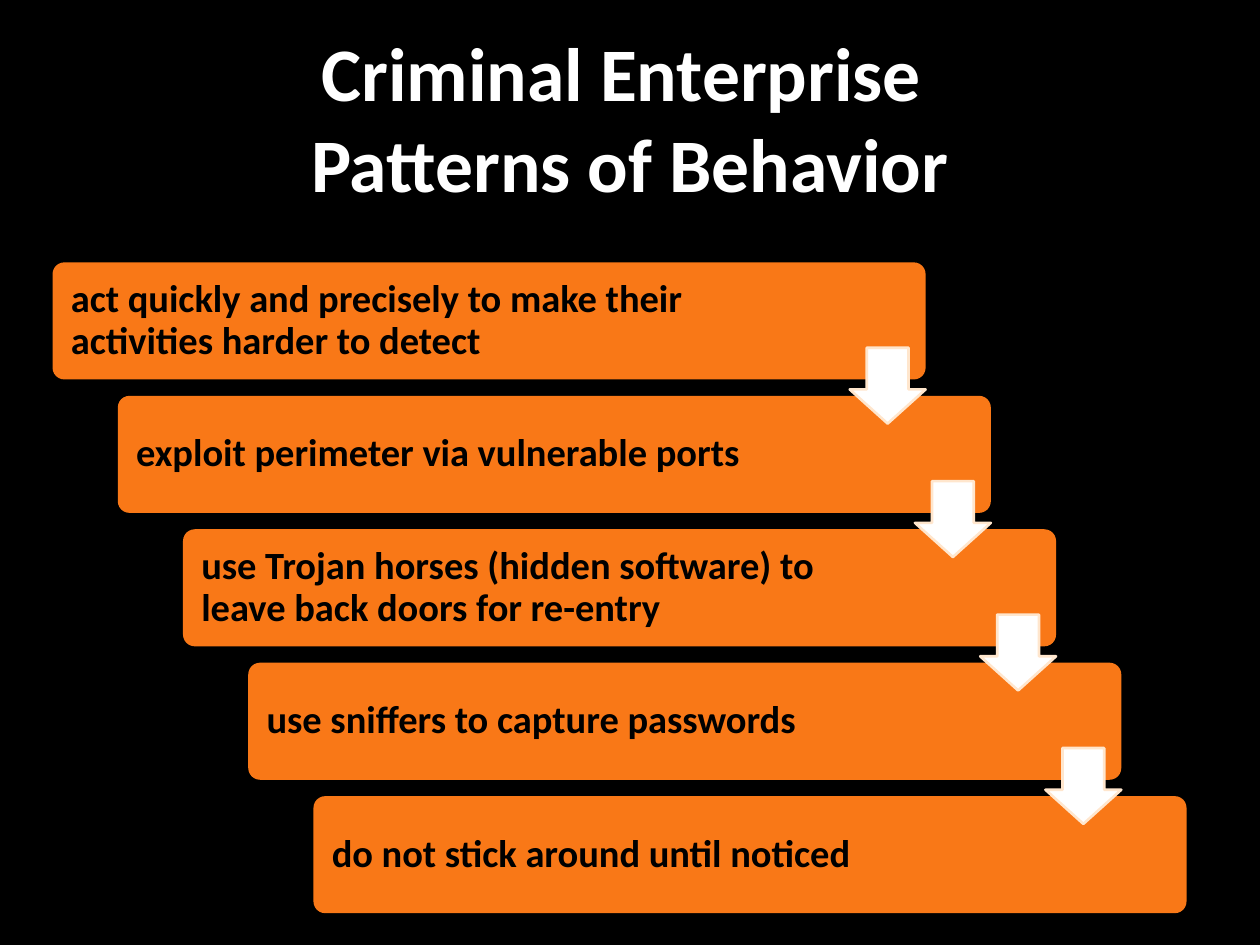
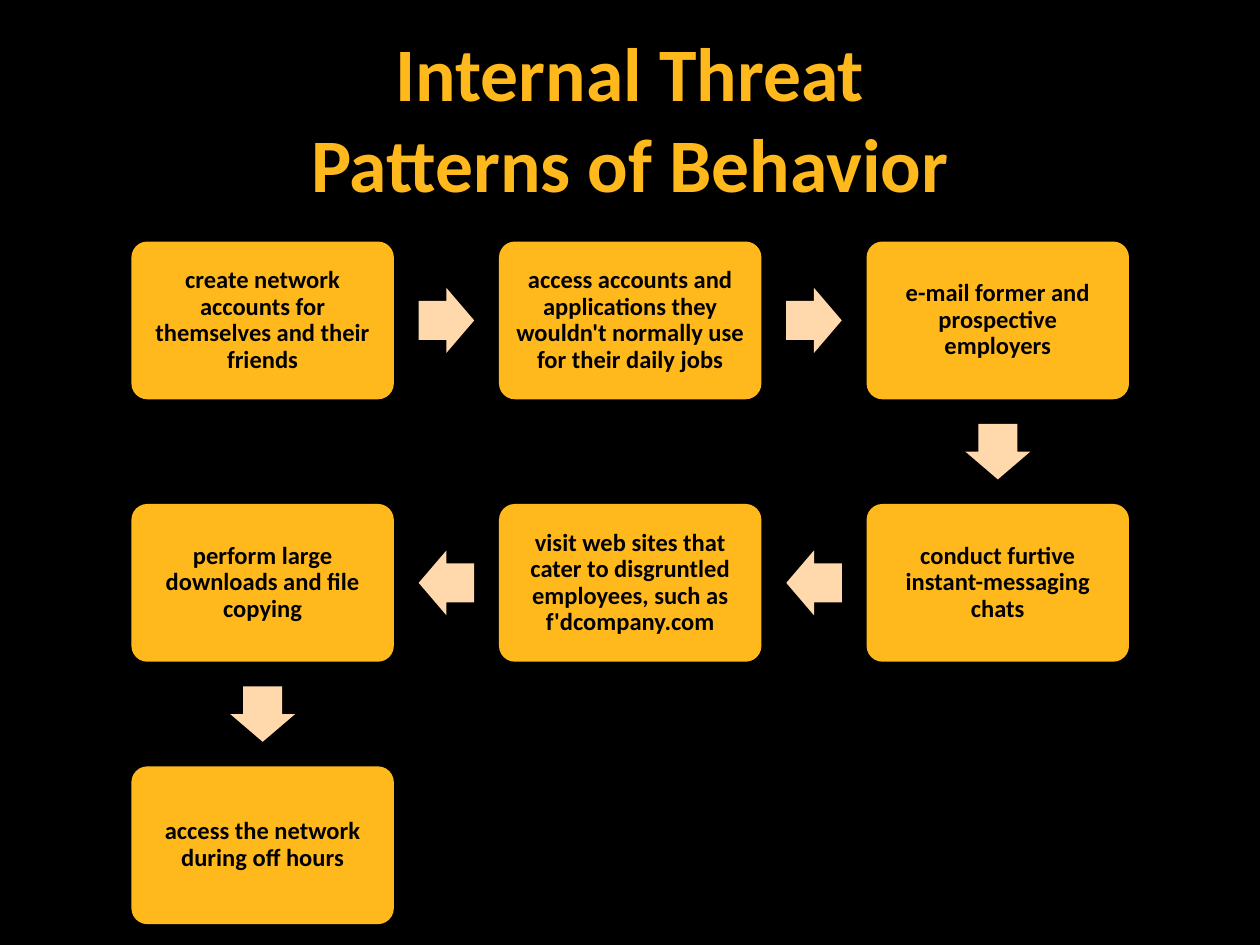
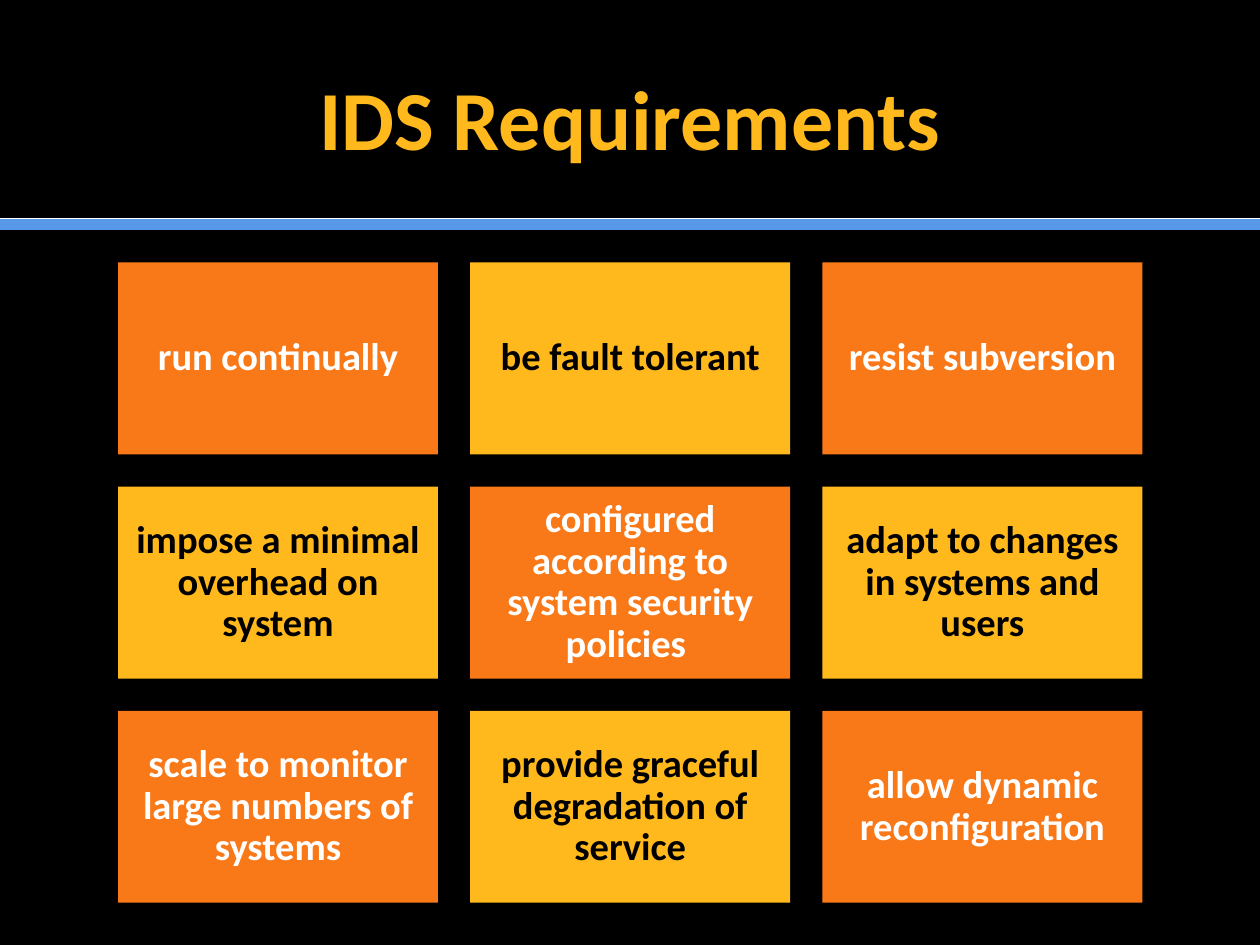
from math import atan2, degrees

from pptx import Presentation
from pptx.dml.color import RGBColor
from pptx.enum.shapes import MSO_CONNECTOR, MSO_SHAPE as Preset
from pptx.enum.text import MSO_ANCHOR as Anchor, PP_ALIGN as Align
from pptx.oxml.xmlchemy import OxmlElement
from pptx.util import Cm, Pt

BLACK = RGBColor(0x00, 0x00, 0x00)
WHITE = RGBColor(0xFF, 0xFF, 0xFF)
ORANGE = RGBColor(0xF9, 0x78, 0x17)
GOLD = RGBColor(0xFF, 0xB9, 0x1D)
PEACH = RGBColor(0xFF, 0xD9, 0xAC)
CREAM = RGBColor(0xFF, 0xE6, 0xCD)
BLUE = RGBColor(0x57, 0x99, 0xE8)

FONT = "Calibri"
SLIDE_WIDTH, SLIDE_HEIGHT = 25.4, 19.05
INSET = 0.23

CRIMINAL_STEPS = [
    "act quickly and precisely to make their activities harder to detect",
    "exploit perimeter via vulnerable ports",
    "use Trojan horses (hidden software) to leave back doors for re-entry",
    "use sniffers to capture passwords",
    "do not stick around until noticed",
]
INTERNAL_STEPS = [
    "create network accounts for themselves and their friends",
    "access accounts and applications they wouldn't normally use for their daily jobs",
    "e-mail former and prospective employers",
    "conduct furtive instant-messaging chats",
    "visit web sites that cater to disgruntled employees, such as f'dcompany.com",
    "perform large downloads and file copying",
    "access the network during off hours",
]
REQUIREMENTS = [
    "run continually",
    "be fault tolerant",
    "resist subversion",
    "impose a minimal overhead on system",
    "configured according to system security policies ",
    "adapt to changes in systems and users",
    "scale to monitor large numbers of systems",
    "provide graceful degradation of service",
    "allow dynamic reconfiguration",
]


class Deck:
    """Holds the shared style and the slide being built."""

    def __init__(self):
        self.presentation = Presentation()
        self.presentation.slide_width = Cm(SLIDE_WIDTH)
        self.presentation.slide_height = Cm(SLIDE_HEIGHT)
        fill = self.presentation.slide_master.background.fill
        fill.solid()
        fill.fore_color.rgb = BLACK
        self.slide = None

    def add_slide(self):
        self.slide = self.presentation.slides.add_slide(self.presentation.slide_layouts[6])

    def add_run(self, paragraph, text, size, color):
        run = paragraph.add_run()
        run.text = text
        run.font.name = FONT
        run.font.size = Pt(size)
        run.font.bold = True
        run.font.color.rgb = color

    def add_title(self, lines, color, size=43.2, margin=1.27):
        box = self.slide.shapes.add_textbox(
            Cm(margin), Cm(0.76), Cm(SLIDE_WIDTH - 2 * margin), Cm(3.18))
        frame = box.text_frame
        frame.word_wrap = True
        frame.vertical_anchor = Anchor.MIDDLE
        paragraph = frame.paragraphs[0]
        paragraph.alignment = Align.CENTER
        for index, line in enumerate(lines):
            if index:
                paragraph.add_line_break()
            self.add_run(paragraph, line, size, color)

    def add_shape(self, preset, left, top, width, height, color, adjustments=()):
        shape = self.slide.shapes.add_shape(preset, Cm(left), Cm(top), Cm(width), Cm(height))
        shape.shadow.inherit = False
        shape.fill.solid()
        shape.fill.fore_color.rgb = color
        shape.line.fill.background()
        for index, value in enumerate(adjustments):
            shape.adjustments[index] = value
        return shape

    def add_text(self, shape, text, size, color=BLACK, align=Align.CENTER,
                 left=INSET, right=INSET):
        frame = shape.text_frame
        frame.word_wrap = True
        frame.vertical_anchor = Anchor.MIDDLE
        frame.margin_left, frame.margin_right = Cm(left), Cm(right)
        frame.margin_top = frame.margin_bottom = Cm(INSET)
        paragraph = frame.paragraphs[0]
        paragraph.alignment = align
        paragraph.line_spacing = 0.9
        self.add_run(paragraph, text, size, color)

    def add_rule(self, top, color, width):
        rule = self.slide.shapes.add_connector(
            MSO_CONNECTOR.STRAIGHT, 0, Cm(top), Cm(SLIDE_WIDTH), Cm(top))
        rule.line.color.rgb = color
        rule.line.width = Pt(width)
        rule._element.spPr.append(OxmlElement("a:effectLst"))


def build_criminal_patterns(deck):
    deck.add_slide()
    deck.add_title(["Criminal Enterprise ", "Patterns of Behavior"], WHITE, margin=0)
    width, height, arrow_size = 17.6, 2.36, 1.53
    corners = [(1.06 + 1.315 * step, 5.29 + 2.69 * step) for step in range(len(CRIMINAL_STEPS))]
    for (left, top), text in zip(corners, CRIMINAL_STEPS):
        bar = deck.add_shape(Preset.ROUNDED_RECTANGLE, left, top, width, height, ORANGE, [0.1])
        deck.add_text(bar, text, 22, align=Align.LEFT, left=0.3, right=3)
    for left, top in corners[:-1]:
        arrow = deck.add_shape(Preset.DOWN_ARROW, left + width - arrow_size, top + 1.72,
                               arrow_size, arrow_size, WHITE, [0.55, 0.45])
        arrow.line.color.rgb = CREAM
        arrow.line.width = Pt(1.5)


def build_internal_patterns(deck):
    deck.add_slide()
    deck.add_title(["Internal Threat", "Patterns of Behavior"], GOLD)
    columns, width, height = 3, 5.29, 3.18
    arrow_width, arrow_height = 1.12, 1.31
    corners = []
    for index, text in enumerate(INTERNAL_STEPS):
        row, column = divmod(index, columns)
        if row % 2:
            column = columns - 1 - column
        left, top = 2.65 + 7.41 * column, 4.87 + 5.29 * row
        corners.append((left, top))
        box = deck.add_shape(Preset.ROUNDED_RECTANGLE, left, top, width, height, GOLD, [0.1])
        deck.add_text(box, text, 14)
    for (left, top), (next_left, next_top) in zip(corners, corners[1:]):
        arrow = deck.add_shape(
            Preset.RIGHT_ARROW,
            (left + next_left + width - arrow_width) / 2,
            (top + next_top + height - arrow_height) / 2,
            arrow_width, arrow_height, PEACH, [0.6, 0.5])
        arrow.rotation = degrees(atan2(next_top - top, next_left - left))


def build_requirements(deck):
    deck.add_slide()
    deck.add_rule(4.52, BLUE, 7)
    deck.add_rule(4.4, WHITE, 0.5)
    deck.add_title(["IDS Requirements"], GOLD, size=48)
    for index, text in enumerate(REQUIREMENTS):
        row, column = divmod(index, 3)
        fill, color = (GOLD, BLACK) if index % 2 else (ORANGE, WHITE)
        tile = deck.add_shape(Preset.RECTANGLE, 2.38 + 7.1 * column, 5.29 + 4.52 * row,
                              6.45, 3.87, fill)
        deck.add_text(tile, text, 22, color)


def main():
    deck = Deck()
    build_criminal_patterns(deck)
    build_internal_patterns(deck)
    build_requirements(deck)
    deck.presentation.save("out.pptx")


if __name__ == "__main__":
    main()
